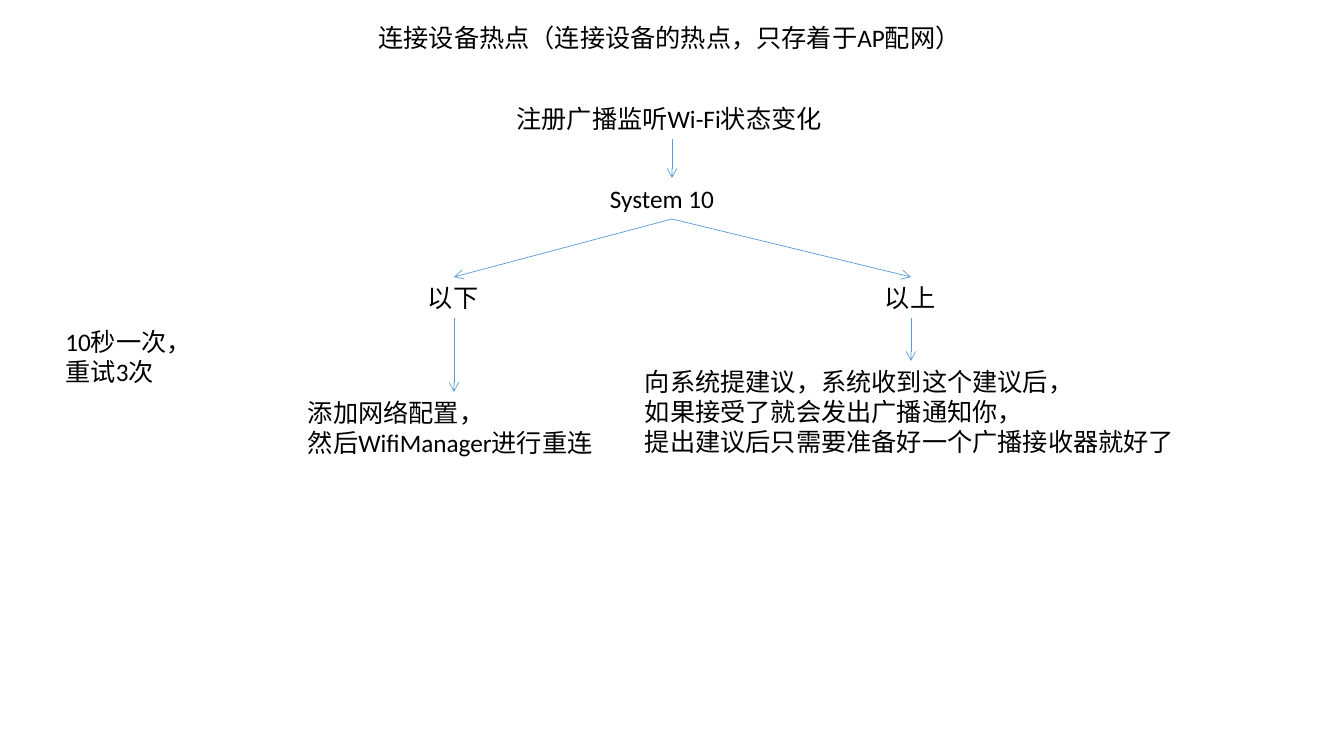
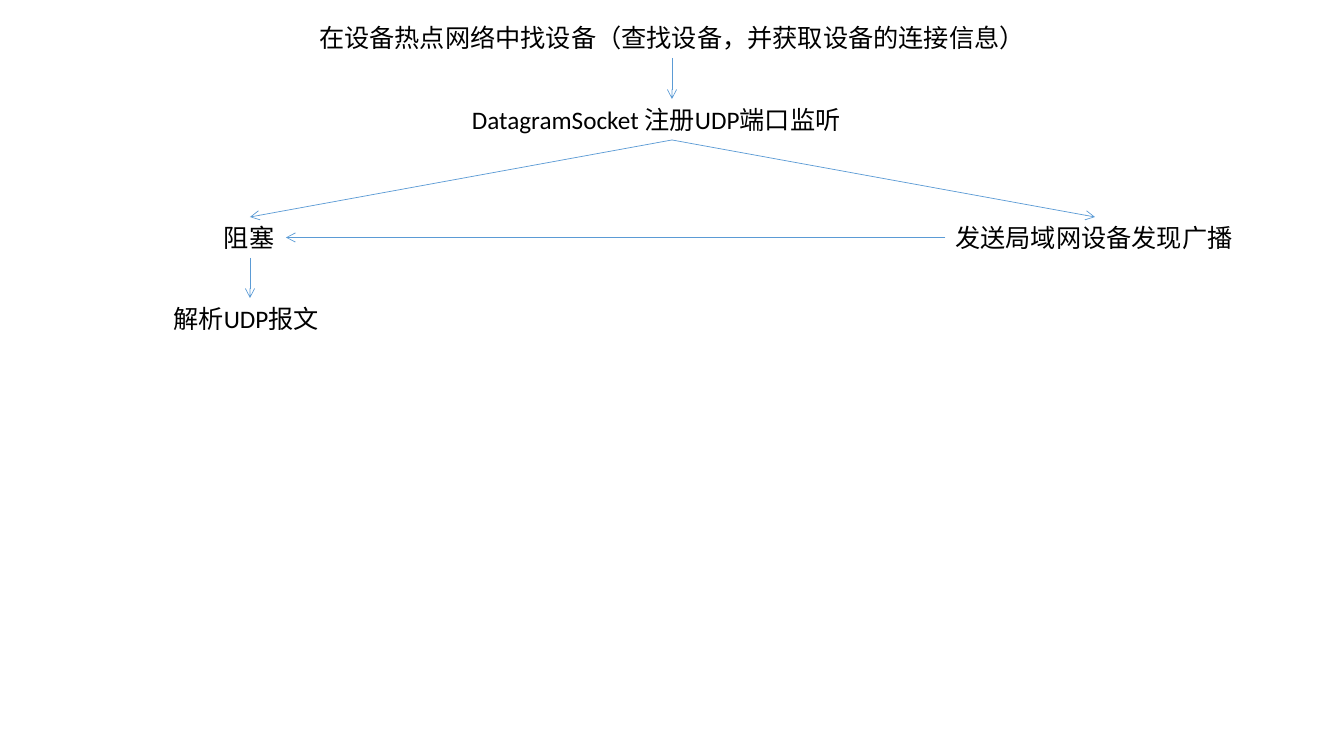
from lxml import etree
from pptx import Presentation
from pptx.dml.color import RGBColor
from pptx.enum.shapes import MSO_CONNECTOR
from pptx.enum.text import MSO_ANCHOR, MSO_AUTO_SIZE, PP_ALIGN
from pptx.oxml.ns import qn
from pptx.util import Emu, Pt

STRAIGHT = MSO_CONNECTOR.STRAIGHT
TOP_ANCHOR = MSO_ANCHOR.TOP
NO_AUTOFIT = MSO_AUTO_SIZE.NONE
LEFT, CENTER = PP_ALIGN.LEFT, PP_ALIGN.CENTER

# Shared look
COLORS = {"text": "000000", "arrow": "5B9BD5"}
FONT = "Calibri"
TEXT_SIZE = Pt(18)
ARROW_WIDTH = Pt(0.5)

# Lengths in px on a 1344 x 756 slide
SLIDE_WIDTH, SLIDE_HEIGHT = 1344, 756
SCALE = 12192000 / SLIDE_WIDTH
MIDDLE = SLIDE_WIDTH // 2
TITLE_TOP = 17
LINE_HEIGHT, BOX_PADDING = 31, 10

# Connection sites of a box
TOP_SITE, LEFT_SITE, BOTTOM_SITE, RIGHT_SITE = range(4)
DOWN = (BOTTOM_SITE, TOP_SITE)
ACROSS = (LEFT_SITE, RIGHT_SITE)

# Boxes: name -> (centre x, top, width, lines); arrows: (from, to, sites)
FLOWS = [
    {
        "title": ("连接设备热点（连接设备的热点，只存着于AP配网）", 607, LEFT),
        "boxes": {
            "listen": (MIDDLE, 98, 331, ["注册广播监听Wi-Fi状态变化"]),
            "retry": (130, 321, 149, ["10秒一次，", "重试3次"]),
            "version": (MIDDLE, 178, 144, ["System 10"]),
            "below": (454, 277, 72, ["以下"]),
            "above": (911, 277, 72, ["以上"]),
            "configure": (454, 392, 312, ["添加网络配置，", "然后WifiManager进行重连"]),
            "suggest": (911, 361, 552, [
                "向系统提建议，系统收到这个建议后，",
                "如果接受了就会发出广播通知你，",
                "提出建议后只需要准备好一个广播接收器就好了",
            ]),
        },
        "arrows": [
            ("listen", "version", DOWN),
            ("version", "below", DOWN),
            ("version", "above", DOWN),
            ("above", "suggest", DOWN),
            ("below", "configure", DOWN),
        ],
    },
    {
        "title": ("在设备热点网络中找设备（查找设备，并获取设备的连接信息）", 728, CENTER),
        "boxes": {
            "socket": (MIDDLE, 99, 420, ["DatagramSocket 注册UDP端口监听"]),
            "block": (250, 217, 72, ["阻塞"]),
            "parse": (250, 298, 173, ["解析UDP报文"]),
            "broadcast": (1095, 217, 299, ["发送局域网设备发现广播"]),
        },
        "arrows": [
            ("title", "socket", DOWN),
            ("socket", "block", DOWN),
            ("block", "parse", DOWN),
            ("socket", "broadcast", DOWN),
            ("broadcast", "block", ACROSS),
        ],
    },
]


def fill_box(shape, center, top, width, lines, alignment=LEFT):
    height = BOX_PADDING + LINE_HEIGHT * len(lines)
    shape.left, shape.top, shape.width, shape.height = (
        Emu(round(length * SCALE))
        for length in (center - width / 2, top, width, height)
    )
    frame = shape.text_frame
    frame.word_wrap = True
    frame.auto_size = NO_AUTOFIT
    frame.vertical_anchor = TOP_ANCHOR
    for index, line in enumerate(lines):
        paragraph = frame.add_paragraph() if index else frame.paragraphs[0]
        paragraph.alignment = alignment
        run = paragraph.add_run()
        run.text = line
        run.font.name = FONT
        run.font.size = TEXT_SIZE
        run.font.color.rgb = RGBColor.from_string(COLORS["text"])


def add_arrow(slide, start, end, sites):
    connector = slide.shapes.add_connector(STRAIGHT, 0, 0, 0, 0)
    connector.begin_connect(start, sites[0])
    connector.end_connect(end, sites[1])
    connector.line.width = ARROW_WIDTH
    connector.line.color.rgb = RGBColor.from_string(COLORS["arrow"])
    line = connector.line._get_or_add_ln()
    etree.SubElement(line, qn("a:tailEnd"), type="arrow")
    etree.SubElement(connector._element.spPr, qn("a:effectLst"))


presentation = Presentation()
presentation.slide_width = Emu(round(SLIDE_WIDTH * SCALE))
presentation.slide_height = Emu(round(SLIDE_HEIGHT * SCALE))
title_only = presentation.slide_layouts[5]

for flow in FLOWS:
    slide = presentation.slides.add_slide(title_only)

    # Title
    title, title_width, alignment = flow["title"]
    shapes = {"title": slide.shapes.title}
    fill_box(shapes["title"], MIDDLE, TITLE_TOP, title_width, [title], alignment)

    # Steps
    for name, (center, top, width, lines) in flow["boxes"].items():
        shapes[name] = slide.shapes.add_textbox(0, 0, 0, 0)
        fill_box(shapes[name], center, top, width, lines)

    # Arrows
    for start, end, sites in flow["arrows"]:
        add_arrow(slide, shapes[start], shapes[end], sites)

presentation.save("out.pptx")
